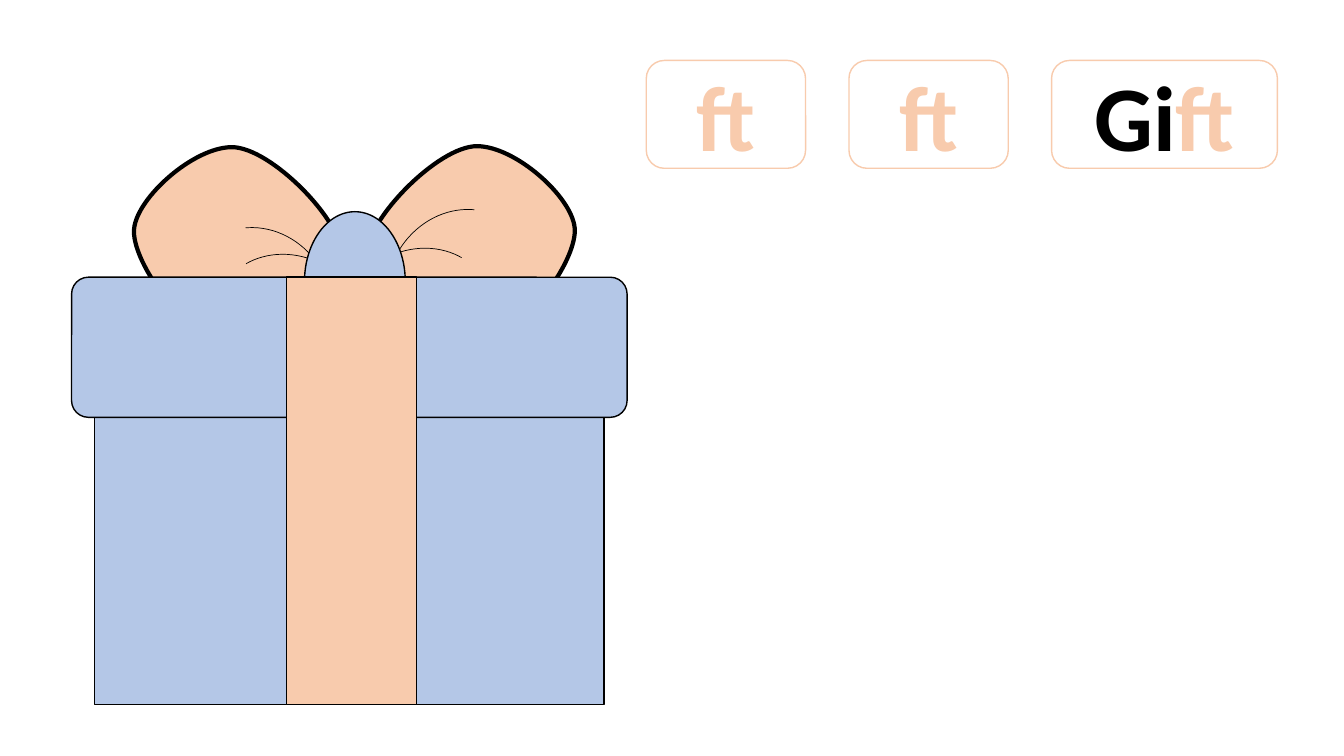
"""Builds a slide with a wrapped gift and three word-part cards."""
import dataclasses

import pptx
import pptx.dml.color
import pptx.enum.shapes
import pptx.enum.text
import pptx.oxml
import pptx.oxml.ns
import pptx.util

PX = 9144
SHAPE = pptx.enum.shapes.MSO_SHAPE


@dataclasses.dataclass(frozen=True)
class Theme:
    """Colours, font and sizes of the slide."""
    paper: str = "FFFFFF"
    peach: str = "F8CBAD"
    blue: str = "B4C7E7"
    ink: str = "000000"
    font: str = "Calibri"
    word_size: int = 66
    crease: float = 0.5
    outline: float = 1
    bow_outline: float = 3


THEME = Theme()


def rgb(colour):
    """Return the colour object for a hex value."""
    return pptx.dml.color.RGBColor.from_string(colour)


def paint(part, fill, line, width):
    """Set fill, outline and shadow of a shape."""
    if fill:
        part.fill.solid()
        part.fill.fore_color.rgb = rgb(fill)
    else:
        part.fill.background()
    part.line.color.rgb = rgb(line)
    part.line.width = pptx.util.Pt(width)
    part.shadow.inherit = False
    return part


def add_part(shapes, kind, box, fill, line=THEME.ink, width=THEME.outline):
    """Add a painted preset shape in a px box."""
    part = shapes.add_shape(kind, *(length * PX for length in box))
    return paint(part, fill, line, width)


def write(paragraph, text, colour, size=THEME.word_size, bold=True):
    """Append one formatted run to a paragraph."""
    run = paragraph.add_run()
    run.text = text
    run.font.name = THEME.font
    run.font.size = pptx.util.Pt(size)
    run.font.bold = bold
    run.font.color.rgb = rgb(colour)


def add_loop(shapes, points):
    """Add a bow loop whose points are a start and cubic curve triples."""
    builder = shapes.build_freeform(*points[0], scale=PX)
    builder.add_line_segments(points[1:], close=True)
    loop = builder.convert_to_shape()
    outline = loop._element.spPr.find(".//" + pptx.oxml.ns.qn("a:path"))
    segments = outline.findall(pptx.oxml.ns.qn("a:lnTo"))
    for first in range(0, len(segments), 3):
        curve = pptx.oxml.xmlchemy.OxmlElement("a:cubicBezTo")
        segments[first].addprevious(curve)
        for segment in segments[first:first + 3]:
            curve.append(segment[0])
            outline.remove(segment)
    paint(loop, THEME.peach, THEME.ink, THEME.bow_outline)


def add_crease(shapes, left, top, rotation, flipped):
    """Add one thin fold line of the bow."""
    crease = add_part(shapes, SHAPE.ARC, (left, top, 159, 142), None, width=THEME.crease)
    crease.adjustments[0] = 162
    crease.adjustments[1] = 203.08
    crease.rotation = rotation
    if flipped:
        crease._element.spPr.xfrm.set("flipH", "1")


def add_gift(slide, left, top, width, height):
    """Draw the gift box with its bow in the given box."""
    shapes = slide.shapes.add_group_shape().shapes
    loop = [(141, 196),
            (107, 192), (59, 123), (62, 93),
            (65, 62), (121, 12), (159, 12),
            (198, 12), (270, 87), (267, 118),
            (264, 149), (176, 200), (141, 196)]
    mirror = width + 10
    add_loop(shapes, [(left + x, top + y) for x, y in loop])
    add_loop(shapes, [(left + mirror - x, top + y - 1) for x, y in loop])
    for x, y, rotation, flipped in ((263, 115, 326.1, False), (138, 121, 33.9, True),
                                    (107, 98, 58.2, True), (306, 80, 301.8, False)):
        add_crease(shapes, left + x, top + y, rotation, flipped)

    lid_top, lid_height, side = top + 141, 139, 23
    base_top, bottom = top + 171, top + height
    add_part(shapes, SHAPE.OVAL, (left + 231, top + 76, 100, 139), THEME.blue)
    add_part(shapes, SHAPE.RECTANGLE,
             (left + side, base_top, width - 2 * side, bottom - base_top), THEME.blue)
    lid = add_part(shapes, SHAPE.ROUNDED_RECTANGLE,
                   (left, lid_top, width, lid_height), THEME.blue)
    lid.adjustments[0] = 0.12
    add_part(shapes, SHAPE.RECTANGLE,
             (left + 213, lid_top, 129, bottom - lid_top), THEME.peach)


def add_cards(slide, left, top, height, gap):
    """Place the word-part cards in a row."""
    ending = ("ft", THEME.peach)
    cards = ((158, [ending]), (158, [ending]), (224, [("Gi", THEME.ink), ending]))
    for width, pieces in cards:
        card = add_part(slide.shapes, SHAPE.ROUNDED_RECTANGLE,
                        (left, top, width, height), THEME.paper, line=THEME.peach)
        frame = card.text_frame
        frame.word_wrap = True
        frame.vertical_anchor = pptx.enum.text.MSO_ANCHOR.MIDDLE
        word = frame.paragraphs[0]
        word.alignment = pptx.enum.text.PP_ALIGN.CENTER
        for text, colour in pieces:
            write(word, text, colour)
        left += width + gap


def main():
    """Build and save the slide."""
    deck = pptx.Presentation()
    deck.slide_width, deck.slide_height = 1333 * PX, 750 * PX
    slide = deck.slides.add_slide(deck.slide_layouts[6])
    add_cards(slide, left=641, top=60, height=107, gap=43)
    add_gift(slide, left=71, top=134, width=551, height=565)
    deck.save("out.pptx")


if __name__ == "__main__":
    main()
